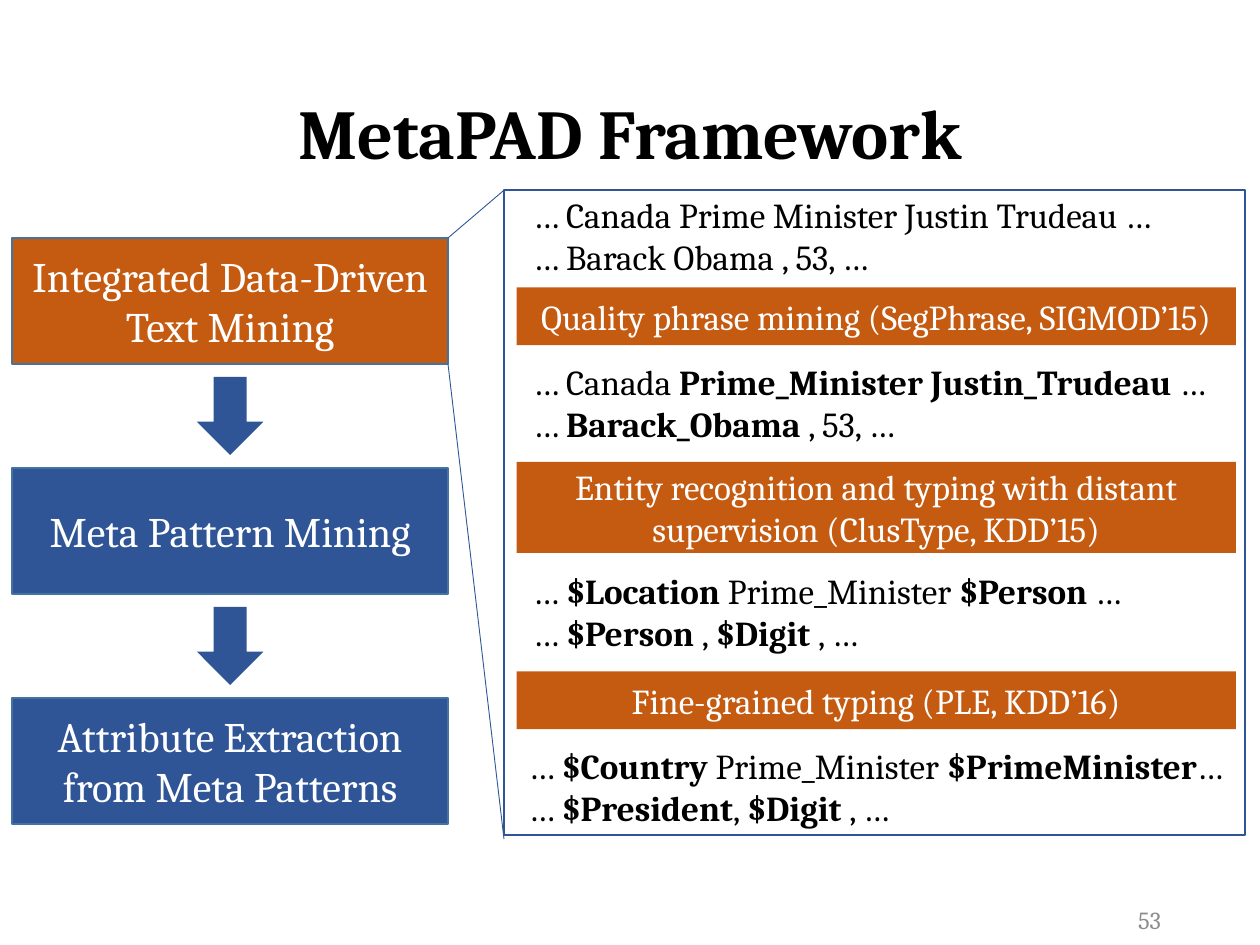
from lxml.etree import SubElement
from pptx import Presentation
from pptx.dml.color import RGBColor
from pptx.enum.shapes import MSO_CONNECTOR, MSO_SHAPE
from pptx.enum.text import MSO_ANCHOR, MSO_AUTO_SIZE, PP_ALIGN
from pptx.oxml.ns import qn
from pptx.util import Pt

THEME = {
    "font": "Cambria",
    "blue": "2F5597", "orange": "C55A11", "border": "43739E",
    "black": "000000", "white": "FFFFFF", "grey": "8C8C8C",
    "title": 40, "stage": 24, "detail": 20, "number": 14,
}

TITLE = "MetaPAD Framework"
PAGE = "53"

STAGES = [
    ("Integrated Data-Driven Text Mining", "orange"),
    ("Meta Pattern Mining", "blue"),
    ("Attribute Extraction from Meta Patterns", "blue"),
]

STEPS = [
    ("Quality phrase mining (SegPhrase, SIGMOD’15)", 164.2, 33),
    ("Entity recognition and typing with distant supervision (ClusType, KDD’15)", 264, 52),
    ("Fine-grained typing (PLE, KDD’16)", 383.7, 33),
]

# Each paragraph alternates regular and bold runs, starting with regular.
EXAMPLES = [
    (297.5, 107.3, 375, [["… Canada Prime Minister Justin Trudeau …"],
                         ["… Barack Obama , 53, …"]]),
    (297.5, 202.5, 409, [["… Canada ", "Prime_Minister Justin_Trudeau ", "…"],
                         ["… ", "Barack_Obama ", ", 53, …"]]),
    (297.5, 322, 357, [["… ", "$Location ", "Prime_Minister ", "$Person ", "…"],
                       ["… ", "$Person ", ", ", "$Digit ", ", …"]]),
    (295, 422, 416, [["… ", "$Country ", "Prime_Minister ", "$PrimeMinister", "…"],
                     ["… ", "$President", ", ", "$Digit ", ", …"]]),
]

STAGE_X, STAGE_Y, STAGE_W, STAGE_H, STAGE_PITCH = 7, 136, 249, 72, 131.4
ARROW_W, ARROW_H = 38, 44.6
STEP_X, STEP_W = 295.2, 411
PANEL_X, PANEL_Y, PANEL_W, PANEL_H = 288, 108.7, 423.4, 368.6
ZOOM_BOTTOM = 479.5


def color(name):
    return RGBColor.from_string(THEME[name])


def add_run(p, text, size, ink, bold=False):
    r = p.add_run()
    r.text = text
    r.font.name = THEME["font"]
    r.font.size = Pt(THEME[size])
    r.font.color.rgb = color(ink)
    r.font.bold = bold


def add_block(slide, kind, x, y, w, h, fill=None, line=None):
    sp = slide.shapes.add_shape(kind, Pt(x), Pt(y), Pt(w), Pt(h))
    sp.shadow.inherit = False
    if fill:
        sp.fill.solid()
        sp.fill.fore_color.rgb = color(fill)
    else:
        sp.fill.background()
    if line:
        sp.line.color.rgb = color(line)
        sp.line.width = Pt(1)
    else:
        sp.line.fill.background()
    return sp


def add_label(sp, text, size):
    tf = sp.text_frame
    tf.word_wrap = True
    tf.vertical_anchor = MSO_ANCHOR.MIDDLE
    p = tf.paragraphs[0]
    p.alignment = PP_ALIGN.CENTER
    add_run(p, text, size, "white")


def add_title(slide):
    sp = slide.shapes.title
    sp.left, sp.top, sp.width, sp.height = Pt(49.5), Pt(48), Pt(621), Pt(60.5)
    tf = sp.text_frame
    tf.vertical_anchor = MSO_ANCHOR.MIDDLE
    p = tf.paragraphs[0]
    p.alignment = PP_ALIGN.CENTER
    p.line_spacing = 0.9
    add_run(p, TITLE, "title", "black", True)


def add_page_number(slide):
    tf = slide.shapes.add_textbox(Pt(508.5), Pt(516.5), Pt(162), Pt(18)).text_frame
    tf.word_wrap = True
    tf.vertical_anchor = MSO_ANCHOR.MIDDLE
    p = tf.paragraphs[0]
    p.alignment = PP_ALIGN.RIGHT
    add_run(p, PAGE, "number", "grey")


def add_stages(slide):
    gap = STAGE_PITCH - STAGE_H
    for i, (text, fill) in enumerate(STAGES):
        y = STAGE_Y + i * STAGE_PITCH
        sp = add_block(slide, MSO_SHAPE.RECTANGLE, STAGE_X, y, STAGE_W, STAGE_H, fill, "border")
        add_label(sp, text, "stage")
        if i < len(STAGES) - 1:
            add_block(slide, MSO_SHAPE.DOWN_ARROW, STAGE_X + (STAGE_W - ARROW_W) / 2,
                      y + STAGE_H + (gap - ARROW_H) / 2, ARROW_W, ARROW_H, "blue")


def add_example(slide, x, y, w, lines):
    tf = slide.shapes.add_textbox(Pt(x), Pt(y), Pt(w), Pt(55.7)).text_frame
    tf.word_wrap = False
    tf.auto_size = MSO_AUTO_SIZE.SHAPE_TO_FIT_TEXT
    for i, runs in enumerate(lines):
        p = tf.add_paragraph() if i else tf.paragraphs[0]
        for j, text in enumerate(runs):
            add_run(p, text, "detail", "black", j % 2 == 1)


def add_panel(slide):
    for text, y, h in STEPS:
        sp = add_block(slide, MSO_SHAPE.RECTANGLE, STEP_X, y, STEP_W, h, "orange")
        add_label(sp, text, "detail")
    for example in EXAMPLES:
        add_example(slide, *example)
    add_block(slide, MSO_SHAPE.RECTANGLE, PANEL_X, PANEL_Y, PANEL_W, PANEL_H, line="blue")
    for y1, y2 in [(STAGE_Y, PANEL_Y), (STAGE_Y + STAGE_H, ZOOM_BOTTOM)]:
        ln = slide.shapes.add_connector(MSO_CONNECTOR.STRAIGHT, Pt(STAGE_X + STAGE_W), Pt(y1),
                                        Pt(PANEL_X), Pt(y2))
        ln.line.color.rgb = color("blue")
        ln.line.width = Pt(0.5)
        SubElement(ln._element.spPr, qn("a:effectLst"))


def main():
    prs = Presentation()
    prs.slide_width, prs.slide_height = Pt(720), Pt(540)
    slide = prs.slides.add_slide(prs.slide_layouts[5])
    add_title(slide)
    add_page_number(slide)
    add_stages(slide)
    add_panel(slide)
    prs.save("out.pptx")


if __name__ == "__main__":
    main()
